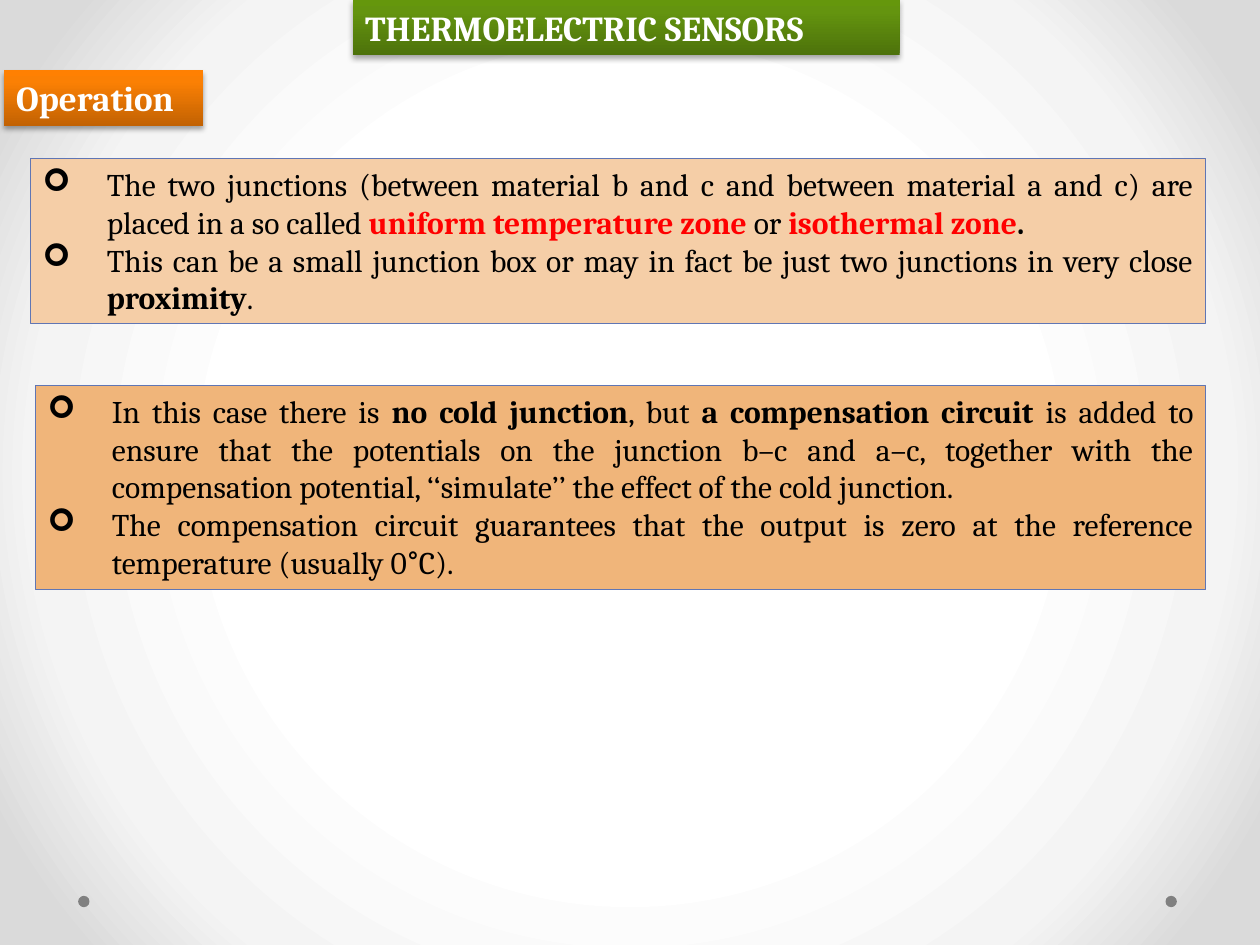
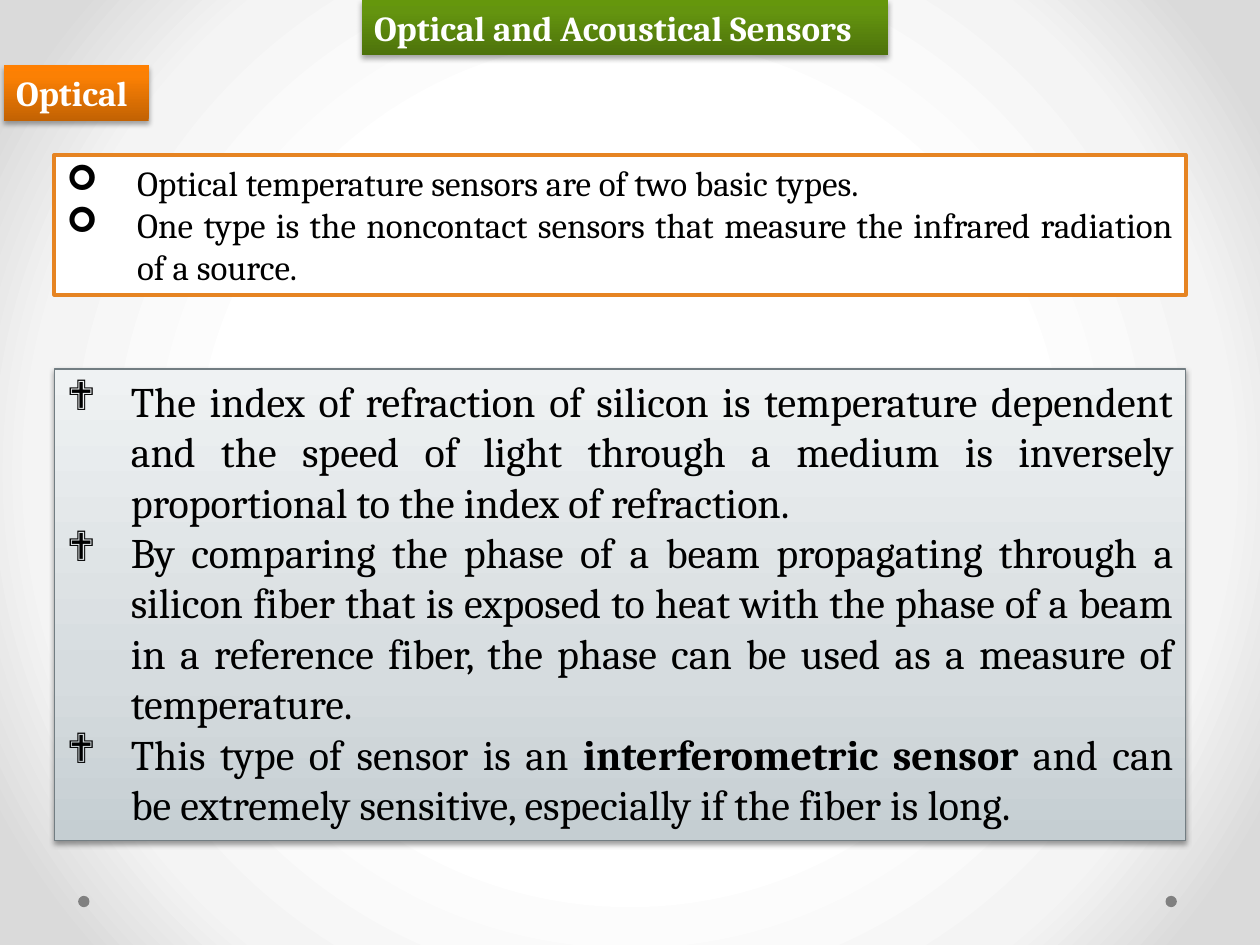
from lxml import etree
from pptx import Presentation
from pptx.dml.color import RGBColor
from pptx.enum import shapes, text
from pptx.oxml import ns
from pptx import util as u

FONT = "Cambria"
BLACK, WHITE, RED = "000000", "FFFFFF", "FF0000"
DOT_GREY, BLUE_LINE, ORANGE, SLATE = "808080", "6076B4", "E68422", "727D82"
PEACH, APRICOT = "F5CEA7", "F0B57A"

# Gradient stops: percent and colour
BACKDROP = [(50, WHITE), (76, "F4F4F4"), (92, "DADADA")]
GREEN_BAND = [(0, "4D720B"), (80, "64940F"), (100, "65970C")]
ORANGE_BAND = [(0, "C26203"), (80, "FB8004"), (100, "FF8002")]
SLATE_BAND = [(0, "C5CED2"), (35, "D6DCDF"), (100, "EFF2F3")]

# Shadows: opacity in percent, blur and distance in points
BAND_SHADOW = (35, 3.1, 1.8)
PANEL_SHADOW = (38, 3.1, 1.6)

BOLD = {"bold": True}
ALERT = {"bold": True, "color": RED}


def rgb(value):
    return RGBColor.from_string(value)


def apply(target, values):
    for name, value in values.items():
        setattr(target, name, value)


def child(parent, tag, **attributes):
    values = {name: str(value) for name, value in attributes.items()}
    return etree.SubElement(parent, ns.qn(tag), values)


def set_gradient(properties, stops, circular=False):
    """Swap the solid fill in a property element for a gradient."""
    solid = properties.find(ns.qn("a:solidFill"))
    gradient = child(properties, "a:gradFill", rotWithShape=1)
    stop_list = child(gradient, "a:gsLst")
    for percent, color in stops:
        stop = child(stop_list, "a:gs", pos=percent * 1000)
        child(stop, "a:srgbClr", val=color)
    if circular:
        circle = child(gradient, "a:path", path="circle")
        child(circle, "a:fillToRect", l=50000, t=50000, r=50000, b=50000)
    else:
        child(gradient, "a:lin", ang=270 * 60000, scaled=0)
    properties.replace(solid, gradient)


class SensorDeck:
    """Holds the shared style and the page being drawn."""

    def __init__(self):
        self.deck = Presentation()
        apply(self.deck, {"slide_width": u.Inches(10), "slide_height": u.Inches(7.5)})
        self.page = None

    def add_page(self, title, title_left, title_width):
        self.page = self.deck.slides.add_slide(self.deck.slide_layouts[6])
        self.page.background.fill.solid()
        backdrop = self.page.element.xpath("p:cSld/p:bg/p:bgPr")[0]
        set_gradient(backdrop, BACKDROP, circular=True)
        for left in (9.25, 0.62):
            self.shape((left, 7.11, 0.09, 0.09), DOT_GREY, kind=shapes.MSO_SHAPE.OVAL)
        self.band(title, (title_left, 0, title_width, 0.44), GREEN_BAND)

    def shape(self, place, fill, line=None, shadow=None, kind=shapes.MSO_SHAPE.RECTANGLE):
        """Fill is a colour or a list of stops; line is a colour and a width."""
        box = self.page.shapes.add_shape(kind, *map(u.Inches, place))
        properties = box.element.spPr
        box.fill.solid()
        if isinstance(fill, str):
            box.fill.fore_color.rgb = rgb(fill)
        else:
            set_gradient(properties, fill)
        if line:
            box.line.color.rgb = rgb(line[0])
            box.line.width = u.Pt(line[1])
        else:
            box.line.fill.background()
        box.shadow.inherit = False
        if shadow:
            opacity, blur, distance = shadow
            outer = child(properties.find(ns.qn("a:effectLst")), "a:outerShdw",
                          blurRad=u.Pt(blur), dist=u.Pt(distance),
                          dir=90 * 60000, rotWithShape=0)
            color = child(outer, "a:srgbClr", val=BLACK)
            child(color, "a:alpha", val=opacity * 1000)
        apply(box.text_frame, {"word_wrap": True,
                               "vertical_anchor": text.MSO_ANCHOR.TOP})
        return box

    def span(self, para, words, size, color=BLACK, bold=False, name=FONT):
        span = para.add_run()
        span.text = words
        apply(span.font, {"size": u.Pt(size), "bold": bold, "name": name})
        span.font.color.rgb = rgb(color)

    def band(self, words, place, fill):
        box = self.shape(place, fill, shadow=BAND_SHADOW)
        para = box.text_frame.paragraphs[0]
        para.alignment = text.PP_ALIGN.LEFT
        self.span(para, words, 20, WHITE, True)

    def section(self, words, top, width):
        self.band(words, (0.03, top, width, 0.44), ORANGE_BAND)

    def panel(self, place, items, fill, line, size=18, bullet="➢", indent=0.51, shadow=None):
        """Each item is a list of strings or (string, format) pairs."""
        frame = self.shape(place, fill, line, shadow).text_frame
        for index, item in enumerate(items):
            para = frame.add_paragraph() if index else frame.paragraphs[0]
            para.alignment = text.PP_ALIGN.JUSTIFY
            settings = para._p.get_or_add_pPr()
            settings.set("marL", str(u.Inches(indent)))
            settings.set("indent", str(-u.Inches(indent)))
            child(settings, "a:buFont", typeface="Wingdings")
            child(settings, "a:buChar", char=bullet)
            for part in item:
                words, style = (part, {}) if isinstance(part, str) else part
                self.span(para, words, size, **style)


def add_thermoelectric(sensors):
    sensors.add_page("THERMOELECTRIC SENSORS", 2.8, 4.34)
    sensors.section("Operation", 0.56, 1.58)
    sensors.panel((0.24, 1.26, 9.33, 1.31), [
        ["The two junctions (between material b and c and between material a and c) "
         "are placed in a so called ",
         ("uniform temperature zone ", ALERT), "or ",
         ("isothermal zone", ALERT), (". ", BOLD)],
        ["This can be a small junction box or may in fact be just two junctions "
         "in very close ", ("proximity", BOLD), "."],
    ], PEACH, (BLUE_LINE, 0.75))
    sensors.panel((0.28, 3.06, 9.29, 1.62), [
        ["In this case there is ", ("no cold junction", BOLD), ", but ",
         ("a compensation circuit ", BOLD),
         "is added to ensure that the potentials on the junction b–c and a–c, together "
         "with the compensation potential, ‘‘simulate’’ the effect of the cold junction. "],
        ["The compensation circuit guarantees that the output is zero at the "
         "reference temperature (usually 0", ("°", {"name": "Roboto Condensed"}), "C)."],
    ], APRICOT, (BLUE_LINE, 0.75))


def add_optical(sensors):
    sensors.add_page("Optical and Acoustical Sensors", 2.87, 4.18)
    sensors.section("Optical", 0.52, 1.15)
    sensors.panel((0.43, 1.23, 8.98, 1.11), [
        ["Optical temperature sensors are of two basic types. "],
        ["One type is the noncontact sensors that measure the infrared radiation "
         "of a source."],
    ], WHITE, (ORANGE, 2.25), size=20, indent=0.56)
    sensors.panel((0.43, 2.93, 8.98, 3.74), [
        ["The index of refraction of silicon is temperature dependent and the speed of "
         "light through a medium is inversely proportional to the index of refraction. "],
        ["By comparing the phase of a beam propagating through a silicon fiber that is "
         "exposed to heat with the phase of a beam in a reference fiber, the phase can "
         "be used as a measure of temperature. "],
        ["This type of sensor is an ", ("interferometric sensor ", BOLD),
         "and can be extremely sensitive, especially if the fiber is long."],
    ], SLATE_BAND, (SLATE, 0.75), size=24, bullet="❖", shadow=PANEL_SHADOW)


def main():
    sensors = SensorDeck()
    add_thermoelectric(sensors)
    add_optical(sensors)
    sensors.deck.save("out.pptx")


if __name__ == "__main__":
    main()
